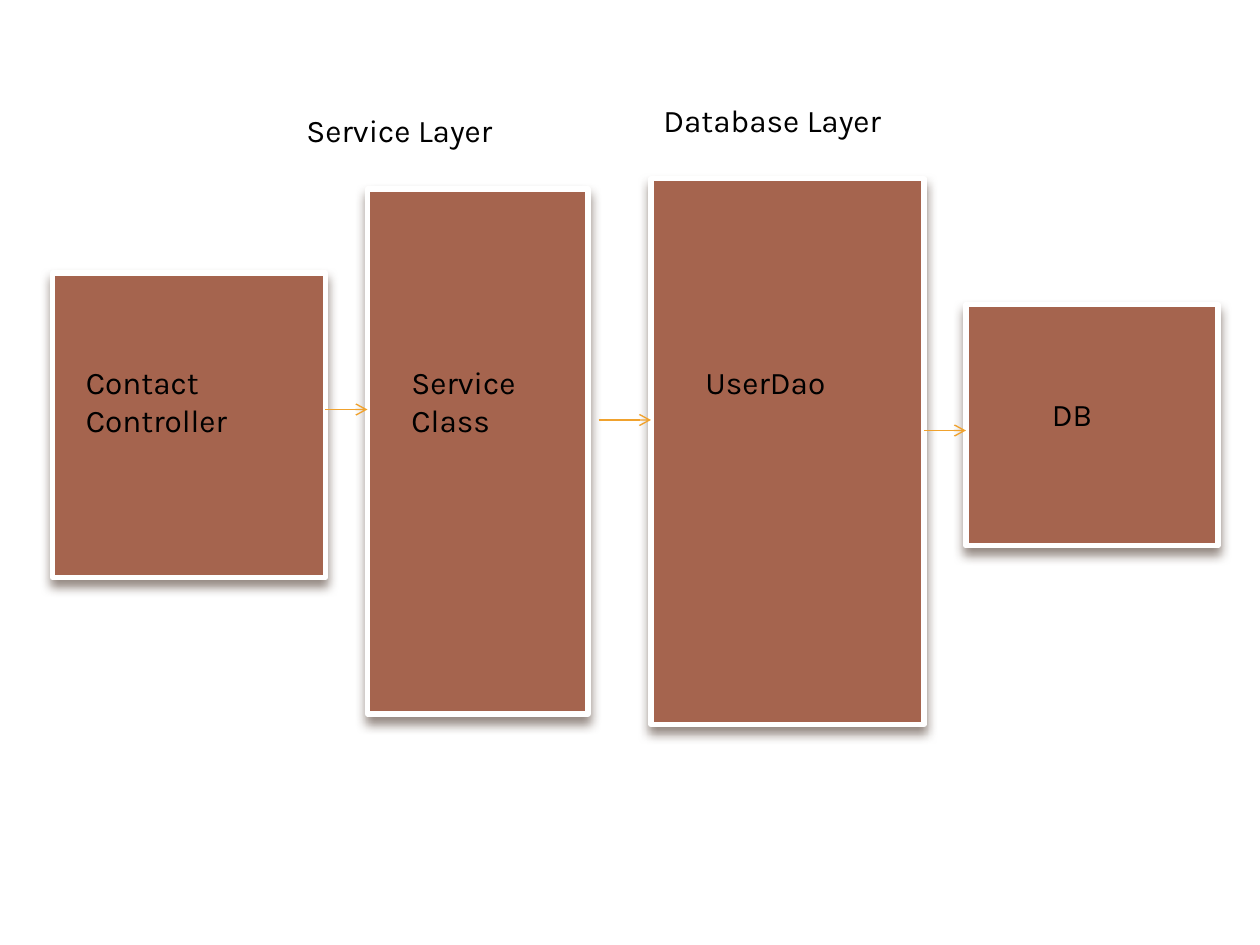
from lxml import etree
from pptx import Presentation
from pptx.dml.color import RGBColor
from pptx.enum.shapes import MSO_CONNECTOR as Line, MSO_SHAPE as Shape
from pptx.enum.text import MSO_AUTO_SIZE as Fit
from pptx.oxml import parse_xml
from pptx.oxml.ns import nsdecls, qn
from pptx.util import Pt

BROWN = RGBColor(0xA5, 0x64, 0x4E)
WHITE = RGBColor(0xFF, 0xFF, 0xFF)
GOLD = RGBColor(0xF0, 0xA2, 0x2E)
BLACK = RGBColor(0, 0, 0)
SHADE = RGBColor(0x4E, 0x3B, 0x30)
FONT = "Karla"

BLOCKS = [
    (30, 156, 156, 174),
    (210, 108, 126, 300),
    (372, 102, 156, 312),
    (552, 174, 144, 138),
]
ARROWS = [(186, 210, 234), (342, 372, 240), (528, 552, 246)]
LABELS = [
    ("Contact\nController", (42, 204, 132, 51)),
    ("Service Class", (228, 204, 84, 51)),
    ("Service Layer", (168, 60, 162, 30)),
    ("UserDao", (396, 204, 114, 29)),
    ("Database Layer", (372, 54, 180, 30)),
    ("DB", (594, 222, 90, 29)),
]


def add_shade(shape):
    """Give the shape a soft shadow straight below it."""
    shape.shadow.inherit = False
    effects = shape._element.spPr.find(qn("a:effectLst"))
    effects.append(parse_xml(
        f'<a:outerShdw {nsdecls("a")} blurRad="{Pt(6)}" dist="{Pt(4)}" '
        f'dir="5400000" rotWithShape="0"><a:srgbClr val="{SHADE}">'
        '<a:alpha val="60000"/></a:srgbClr></a:outerShdw>'))


def add_block(slide, box):
    """Draw one layer as a framed rectangle filling the box."""
    block = slide.shapes.add_shape(Shape.RECTANGLE, *map(Pt, box))
    block.fill.solid()
    block.fill.fore_color.rgb = BROWN
    block.line.color.rgb = WHITE
    block.line.width = Pt(3)
    etree.SubElement(block.line._get_or_add_ln(), qn("a:round"))
    add_shade(block)


def add_arrow(slide, start, end, y):
    """Draw a level arrow from start to end at height y."""
    arrow = slide.shapes.add_connector(
        Line.STRAIGHT, Pt(start), Pt(y), Pt(end), Pt(y))
    arrow.line.color.rgb = GOLD
    arrow.line.width = Pt(0.79)
    etree.SubElement(arrow.line._get_or_add_ln(), qn("a:tailEnd"), type="arrow")
    etree.SubElement(arrow._element.spPr, qn("a:effectLst"))


def add_label(slide, text, box):
    """Write a wrapped label in the box."""
    frame = slide.shapes.add_textbox(*map(Pt, box)).text_frame
    frame.word_wrap = True
    frame.auto_size = Fit.SHAPE_TO_FIT_TEXT
    frame.text = text
    for para in frame.paragraphs:
        for run in para.runs:
            run.font.name = FONT
            run.font.size = Pt(18)
            run.font.color.rgb = BLACK


def draw_flow(slide):
    """Place the blocks, the arrows between them and the labels."""
    for box in BLOCKS:
        add_block(slide, box)
    for start, end, y in ARROWS:
        add_arrow(slide, start, end, y)
    for text, box in LABELS:
        add_label(slide, text, box)


def main():
    """Build the slide and save it."""
    deck = Presentation()
    deck.slide_width, deck.slide_height = Pt(720), Pt(540)
    draw_flow(deck.slides.add_slide(deck.slide_layouts[6]))
    deck.save("out.pptx")


if __name__ == "__main__":
    main()
